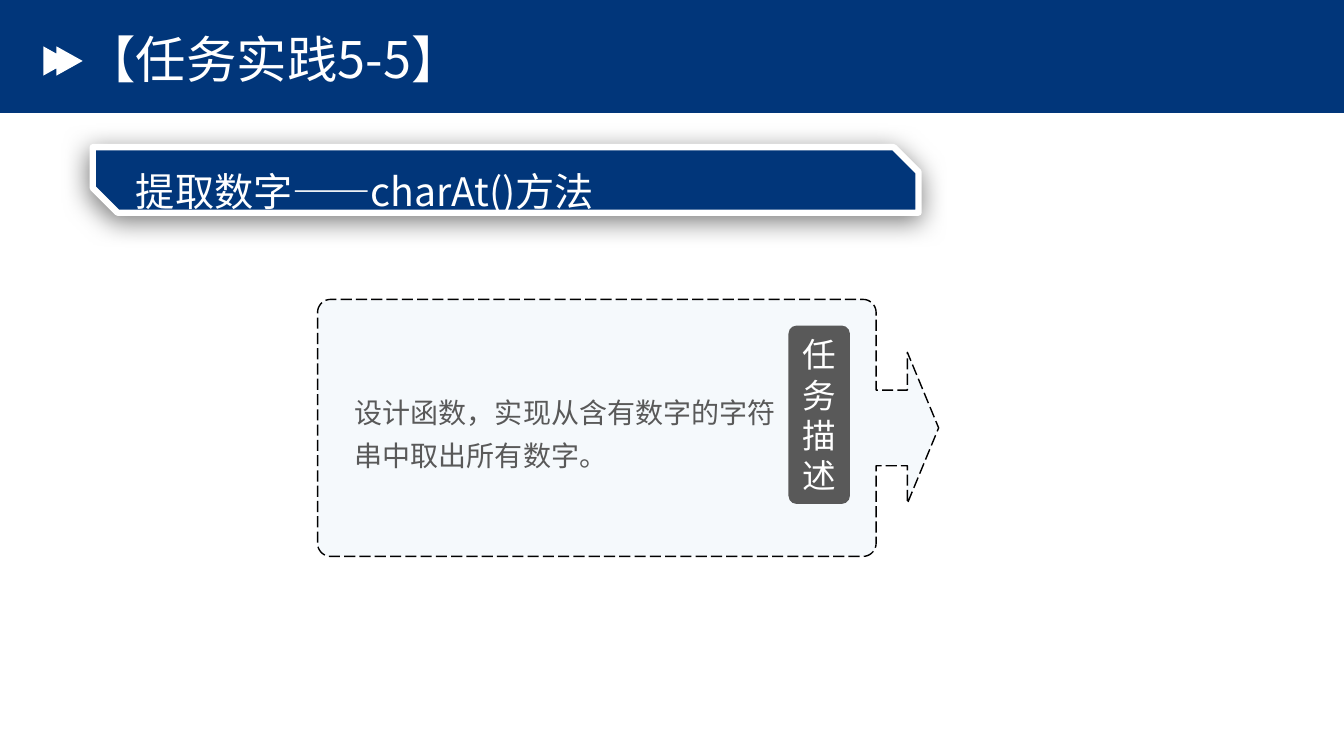
import math
from dataclasses import dataclass

import pptx
import pptx.dml.color
import pptx.enum.dml
import pptx.enum.shapes
import pptx.enum.text
import pptx.oxml
import pptx.oxml.ns
import pptx.util

Inches = pptx.util.Inches
Pt = pptx.util.Pt
SHAPE = pptx.enum.shapes.MSO_SHAPE
ANCHOR = pptx.enum.text.MSO_ANCHOR
ALIGN = pptx.enum.text.PP_ALIGN


@dataclass(frozen=True)
class Theme:
    navy: str = "01367A"
    white: str = "FFFFFF"
    grey: str = "595959"
    pale_blue: str = "BDD7EE"
    black: str = "000000"
    font: str = "Noto Sans CJK SC"
    label_font: str = "Calibri"
    title: int = 36
    subtitle: int = 28
    label: int = 24
    body: int = 20


THEME = Theme()


def rgb(value):
    return pptx.dml.color.RGBColor.from_string(value)


def paint(sp, fill):
    sp.shadow.inherit = False
    sp.fill.solid()
    sp.fill.fore_color.rgb = rgb(fill)
    sp.line.fill.background()


def add_box(shapes, kind, box, fill):
    sp = shapes.add_shape(kind, *(Inches(v) for v in box))
    paint(sp, fill)
    return sp


def add_outline(shapes, points, fill):
    start, *rest = [(Inches(x), Inches(y)) for x, y in points]
    builder = shapes.build_freeform(*start)
    builder.add_line_segments(rest, close=True)
    sp = builder.convert_to_shape()
    paint(sp, fill)
    return sp


def write(tf, text, size, color, font=THEME.font):
    """Put one run in the first paragraph, with its Latin and East Asian fonts."""
    tf.word_wrap = True
    p = tf.paragraphs[0]
    r = p.add_run()
    r.text = text
    r.font.size = Pt(size)
    r.font.name = font
    r.font.color.rgb = rgb(color)
    ea = pptx.oxml.parse_xml(
        f'<a:ea {pptx.oxml.ns.nsdecls("a")} typeface="{THEME.font}"/>')
    r.font._element.find(pptx.oxml.ns.qn("a:latin")).addnext(ea)
    return p


def add_text(shapes, box, text, size, color, spacing):
    tf = shapes.add_textbox(*(Inches(v) for v in box)).text_frame
    p = write(tf, text, size, color)
    p.line_spacing = spacing
    return tf


def set_alpha(sp, percent):
    color = sp.fill._xPr.find(".//" + pptx.oxml.ns.qn("a:srgbClr"))
    color.append(pptx.oxml.parse_xml(
        f'<a:alpha {pptx.oxml.ns.nsdecls("a")} val="{percent * 1000}"/>'))


def set_shadow(sp, color, percent, blur, distance, angle):
    effects = sp._element.spPr.find(pptx.oxml.ns.qn("a:effectLst"))
    effects.append(pptx.oxml.parse_xml(
        f'<a:outerShdw {pptx.oxml.ns.nsdecls("a")} blurRad="{Pt(blur)}"'
        f' dist="{Pt(distance)}" dir="{angle * 60000}" algn="ctr" rotWithShape="0">'
        f'<a:srgbClr val="{color}"><a:alpha val="{percent * 1000}"/></a:srgbClr>'
        '</a:outerShdw>'))


def double_arrow(left, top, width, height):
    mid, bottom = top + height / 2, top + height
    notch, step = left + width / 3, height / 4
    return [(left, top), (notch, top + step), (notch, top), (left + width, mid),
            (notch, bottom), (notch, bottom - step), (left, bottom)]


def callout(left, top, width, height, arrow=0.62, radius=0.13):
    """Outline of a rounded card with an arrow on its right side."""
    right, bottom, mid = left + width - arrow, top + height, top + height / 2
    neck, wing, shoulder = 0.375, 0.75, right + arrow / 2

    def corner(cx, cy, start):
        angles = [math.radians(start + 10 * i) for i in range(10)]
        return [(cx + radius * math.cos(a), cy + radius * math.sin(a)) for a in angles]

    x1, x2 = left + radius, right - radius
    y1, y2 = top + radius, bottom - radius
    head = [(right, mid - neck), (shoulder, mid - neck), (shoulder, mid - wing),
            (left + width, mid), (shoulder, mid + wing), (shoulder, mid + neck),
            (right, mid + neck)]
    return (corner(x1, y1, 180) + corner(x2, y1, 270) + head
            + corner(x2, y2, 0) + corner(x1, y2, 90))


def header(shapes, left, top, width, height):
    add_box(shapes, SHAPE.RECTANGLE, (left, top, width, height), THEME.navy)
    add_outline(shapes, double_arrow(left + 0.43, top + 0.46, 0.39, 0.29), THEME.white)
    tf = add_text(shapes, (left + 0.75, top + 0.34, 6.58, 0.56),
                  "【任务实践5-5】", THEME.title, THEME.white, 0.9)
    tf.vertical_anchor = ANCHOR.MIDDLE


def banner(shapes, left, top, width, height):
    sp = add_box(shapes, SHAPE.SNIP_2_DIAG_RECTANGLE,
                 (left, top, width, height), THEME.navy)
    sp.adjustments[0], sp.adjustments[1] = 0, 0.378
    sp.line.color.rgb = rgb(THEME.white)
    sp.line.width = Pt(4.5)
    set_shadow(sp, THEME.black, percent=51, blur=19, distance=4, angle=112)
    tf = add_text(shapes, (left + 0.33, top + 0.01, 7.4, 0.7),
                  "提取数字——charAt()方法", THEME.subtitle, THEME.white, 1.3)
    tf.paragraphs[0].space_before = Pt(10)


def task_card(shapes, left, top, width, height):
    card = shapes.add_group_shape().shapes
    sp = add_outline(card, callout(left, top, width, height), THEME.pale_blue)
    set_alpha(sp, 15)
    sp.line.color.rgb = rgb(THEME.black)
    sp.line.width = Pt(1)
    sp.line.dash_style = pptx.enum.dml.MSO_LINE.LONG_DASH

    add_text(card, (left + 0.27, top + 0.8, 4.4, 0.93),
             "设计函数，实现从含有数字的字符串中取出所有数字。",
             THEME.body, THEME.grey, 1.3)

    label = add_box(card, SHAPE.ROUNDED_RECTANGLE,
                    (left + 4.67, top + 0.26, 0.61, 1.77), THEME.grey)
    label.adjustments[0] = 0.133
    tf = label.text_frame
    tf.vertical_anchor = ANCHOR.MIDDLE
    p = write(tf, "任务描述", THEME.label, THEME.white, THEME.label_font)
    p.alignment = ALIGN.CENTER


def main():
    prs = pptx.Presentation()
    prs.slide_width, prs.slide_height = Inches(13.33), Inches(7.5)
    shapes = prs.slides.add_slide(prs.slide_layouts[6]).shapes
    header(shapes, 0, 0, 13.33, 1.12)
    banner(shapes, 0.92, 1.46, 8.19, 0.65)
    task_card(shapes, 3.15, 2.97, 6.16, 2.55)
    prs.save("out.pptx")


if __name__ == "__main__":
    main()
